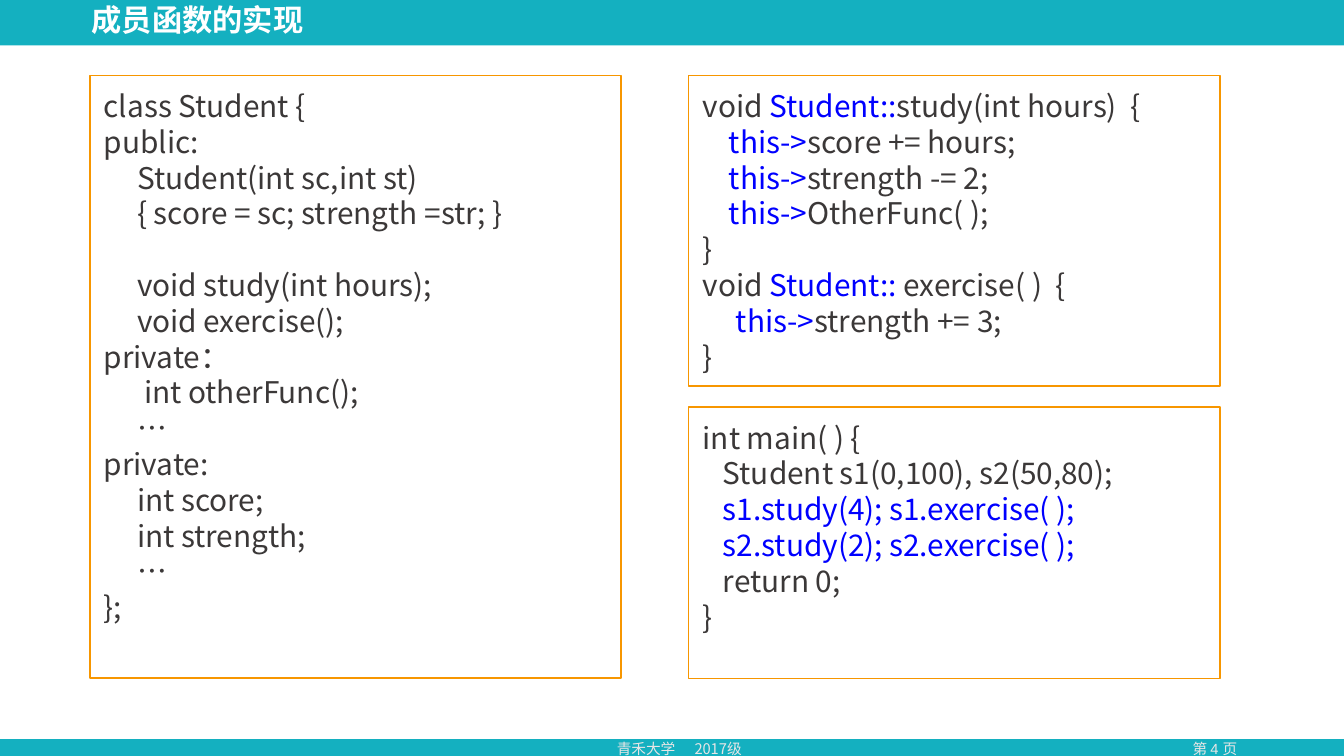
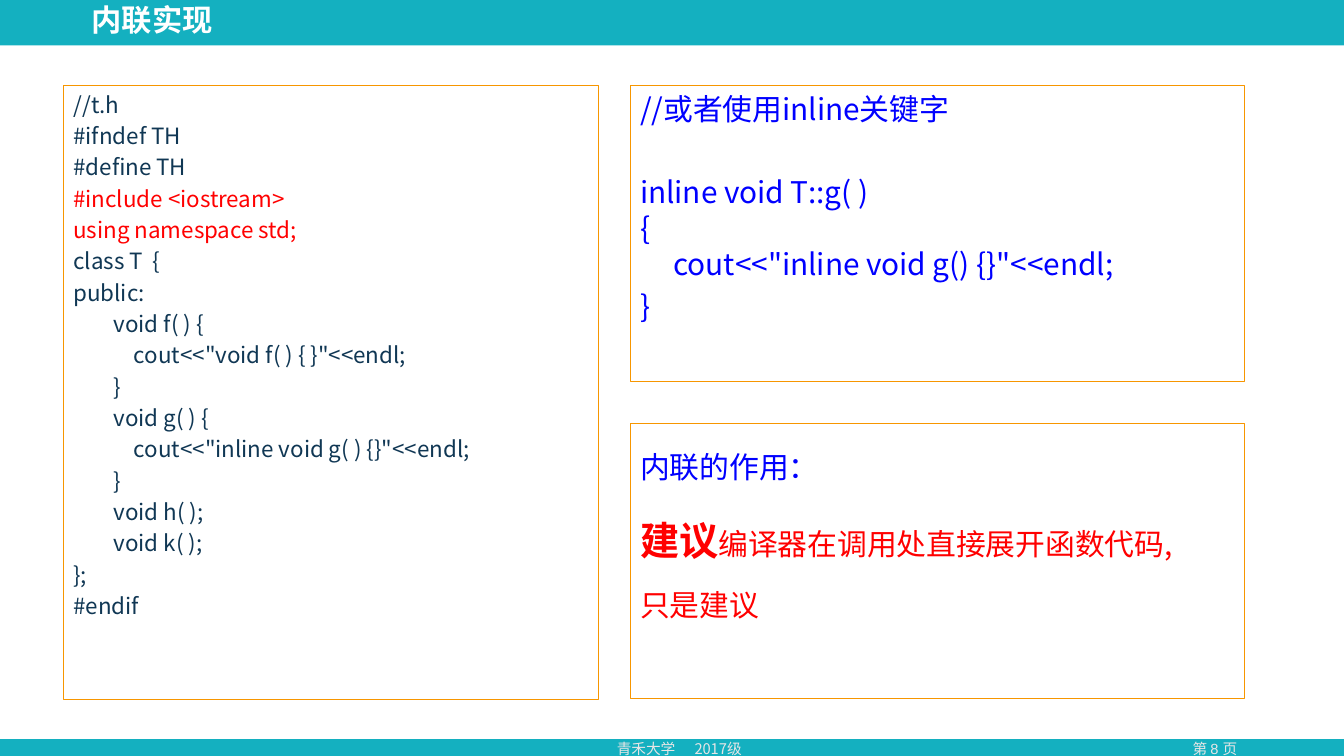
from dataclasses import dataclass
from typing import NamedTuple, Optional

from lxml import etree
from pptx import Presentation, util as u
from pptx.dml.color import RGBColor
from pptx.enum import shapes, text
from pptx.oxml.ns import qn


@dataclass(frozen=True)
class Theme:
    teal: str = "14B0C0"
    white: str = "FFFFFF"
    pale: str = "E7E6E6"
    orange: str = "F79600"
    gray: str = "3B3838"
    navy: str = "103754"
    blue: str = "0000FF"
    red: str = "FF0000"
    font: str = "Noto Sans CJK SC"
    number_font: str = "Arial"
    title: float = 21.6
    large: float = 21.3
    strong: float = 28
    small: float = 16
    footer: float = 10.5
    leading: float = 1.2  # line height as a multiple of the type size


THEME = Theme()


class Span(NamedTuple):
    text: str
    color: Optional[str] = None
    size: Optional[float] = None
    bold: Optional[bool] = None


class Line(NamedTuple):
    """One paragraph; indent in inches, space before and height in points."""
    spans: tuple
    indent: float = 0
    before: float = 0
    color: Optional[str] = None
    height: Optional[float] = None


def line(*parts, **options):
    spans = tuple(Span(p) if isinstance(p, str) else p for p in parts)
    return Line(spans, **options)


def blue(words):
    return Span(words, THEME.blue)


def rgb(color):
    return RGBColor.from_string(color)


class Slides:
    """Holds the theme, the deck and the current page."""

    def __init__(self, theme):
        self.theme = theme
        self.deck = Presentation()
        self.deck.slide_width = u.Inches(13.33)
        self.deck.slide_height = u.Inches(7.5)
        self.layout = self.deck.slide_layouts[5]
        self.page = None

    def new_page(self, title, number):
        self.page = self.deck.slides.add_slide(self.layout)
        if len(self.deck.slides) == 1:
            self.build_layout()
        self.title(title)
        self.label(f"第 {number} 页", 11.32, 1.46, self.theme.number_font,
                   text.PP_ALIGN.CENTER)

    def build_layout(self):
        """Put the bands and the fixed footer on the shared layout."""
        fill = self.layout.background.fill
        fill.solid()
        fill.fore_color.rgb = rgb(self.theme.teal)
        sheet = self.rectangle(0, 0.45, 13.33, 6.88)
        sheet.fill.solid()
        sheet.fill.fore_color.rgb = rgb(self.theme.white)
        sheet.line.fill.background()
        school = self.label("青禾大学", 6.02, 0.85)
        year = self.label("2017级", 6.79, 0.85)
        for shape in (sheet, school, year):
            self.layout.shapes.element.append(shape.element)

    def rectangle(self, left, top, width, height):
        box = self.page.shapes.add_shape(
            shapes.MSO_SHAPE.RECTANGLE, u.Inches(left), u.Inches(top),
            u.Inches(width), u.Inches(height))
        box.shadow.inherit = False
        return box

    def title(self, words):
        box = self.page.shapes.title
        box.left, box.top = u.Inches(0.81), u.Inches(0)
        box.width, box.height = u.Inches(9.5), u.Inches(0.44)
        frame = box.text_frame
        frame.auto_size = text.MSO_AUTO_SIZE.NONE
        frame.vertical_anchor = text.MSO_ANCHOR.MIDDLE
        para = self.fill_text(frame, [line(words)], self.theme.title,
                              self.theme.white)
        para.font.bold = True
        para.line_spacing = 0.9

    def label(self, words, left, width, font=None,
              align=text.PP_ALIGN.LEFT):
        box = self.page.shapes.add_textbox(
            u.Inches(left), u.Inches(7.29), u.Inches(width), u.Inches(0.28))
        box.text_frame.word_wrap = True
        para = self.fill_text(box.text_frame, [line(words)],
                              self.theme.footer, self.theme.pale, font)
        para.alignment = align
        return box

    def panel(self, area, lines, size, color, border=0.75,
              inset=(0.1, 0.05)):
        """Draw an outlined box with lines of code or notes."""
        box = self.rectangle(*area)
        box.fill.background()
        box.line.color.rgb = rgb(self.theme.orange)
        box.line.width = u.Pt(border)
        frame = box.text_frame
        frame.word_wrap = True
        frame.vertical_anchor = text.MSO_ANCHOR.TOP
        frame.margin_left = frame.margin_right = u.Inches(inset[0])
        frame.margin_top = frame.margin_bottom = u.Inches(inset[1])
        self.fill_text(frame, lines, size, color)

    def fill_text(self, frame, lines, size, color, font=None):
        """Fill a text frame and return its last paragraph."""
        for index, item in enumerate(lines):
            para = frame.add_paragraph() if index else frame.paragraphs[0]
            para.alignment = text.PP_ALIGN.LEFT
            para.line_spacing = u.Pt(item.height or size * self.theme.leading)
            para.space_before = u.Pt(item.before)
            para.font.size = u.Pt(size)
            para.font.color.rgb = rgb(item.color or color)
            para.font.name = font or self.theme.font
            properties = para._p.get_or_add_pPr()
            properties.set("marL", str(u.Inches(item.indent)))
            properties.set("indent", "0")
            etree.SubElement(properties.find(qn("a:defRPr")), qn("a:ea"),
                             typeface=self.theme.font)
            for part in item.spans:
                span = para.add_run()
                span.text = part.text
                if part.color:
                    span.font.color.rgb = rgb(part.color)
                if part.size:
                    span.font.size = u.Pt(part.size)
                if part.bold:
                    span.font.bold = True
        return para


def member_functions(slides):
    theme = slides.theme
    slides.new_page("成员函数的实现", 4)
    step = 0.33
    blank = theme.large * theme.leading

    # Class declaration
    declaration = [
        line("class Student {"),
        line("public:"),
        line("Student(int sc,int st)", indent=step),
        line("{ score = sc; strength =str; }", indent=step),
        line("void study(int hours);", indent=step, before=blank),
        line("void exercise();", indent=step),
        line("private："),
        line("int otherFunc();", indent=0.4),
        line("…", indent=step),
        line("private:"),
        line("int score;", indent=step),
        line("int strength;", indent=step),
        line("…", indent=step),
        line("};"),
    ]

    # Member function bodies
    this = blue("this->")
    bodies = [
        line("void ", blue("Student::"), "study(int hours)  {"),
        line(this, "score += hours;", indent=0.26),
        line(this, "strength -= 2;", indent=0.26),
        line(this, "OtherFunc( );", indent=0.26),
        line("}"),
        line("void ", blue("Student:: "), "exercise( )  {"),
        line(this, "strength += 3;", indent=step),
        line("}"),
    ]

    # Calls from the main program
    program = [
        line("int main( ) {"),
        line("Student s1(0,100), s2(50,80);", indent=0.2),
        line("s1.study(4); s1.exercise( );", indent=0.2, color=theme.blue),
        line("s2.study(2); s2.exercise( );", indent=0.2, color=theme.blue),
        line("return 0;", indent=0.2),
        line("}"),
    ]

    for area, lines in (((0.89, 0.75, 5.27, 5.98), declaration),
                        ((6.83, 0.75, 5.27, 3.08), bodies),
                        ((6.83, 4.04, 5.27, 2.69), program)):
        slides.panel(area, lines, theme.large, theme.gray, border=1.25,
                     inset=(0.14, 0.12))


def inline_functions(slides):
    theme = slides.theme
    slides.new_page("内联实现", 8)

    # Header file: text, indent level and colour
    header = [
        ("//t.h", 0, None),
        ("#ifndef TH", 0, None),
        ("#define TH", 0, None),
        ("#include <iostream>", 0, theme.red),
        ("using namespace std;", 0, theme.red),
        ("class T  {", 0, None),
        ("public:", 0, None),
        ("void f( ) {", 2, None),
        ('cout<<"void f( ) { }"<<endl;', 3, None),
        ("}", 2, None),
        ("void g( ) {", 2, None),
        ('cout<<"inline void g( ) {}"<<endl;', 3, None),
        ("}", 2, None),
        ("void h( );", 2, None),
        ("void k( );", 2, None),
        ("};", 0, None),
        ("#endif", 0, None),
    ]
    slides.panel((0.63, 0.85, 5.31, 6.09),
                 [line(words, indent=0.2 * level, before=theme.small * 0.2,
                       color=color) for words, level, color in header],
                 theme.small, theme.navy)

    # Inline keyword
    gap = theme.large * 0.2
    keyword = [
        line("//或者使用inline关键字"),
        line("inline void T::g( )",
             before=2 * gap + theme.large * theme.leading),
        line("{"),
        line('cout<<"inline void g() {}"<<endl;', indent=0.33),
        line("}", before=gap),
    ]
    slides.panel((6.25, 0.85, 6.09, 2.94), keyword, theme.large, theme.blue)

    # Purpose of inlining
    purpose = [
        line("内联的作用：", height=40),
        line(Span("建议", size=theme.strong, bold=True),
             "编译器在调用处直接展开函数代码,",
             color=theme.red, before=gap, height=52),
        line("只是建议", color=theme.red, before=gap, height=38),
    ]
    slides.panel((6.25, 4.2, 6.09, 2.73), purpose, theme.large, theme.blue)


def main():
    slides = Slides(THEME)
    member_functions(slides)
    inline_functions(slides)
    slides.deck.save("out.pptx")


if __name__ == "__main__":
    main()
